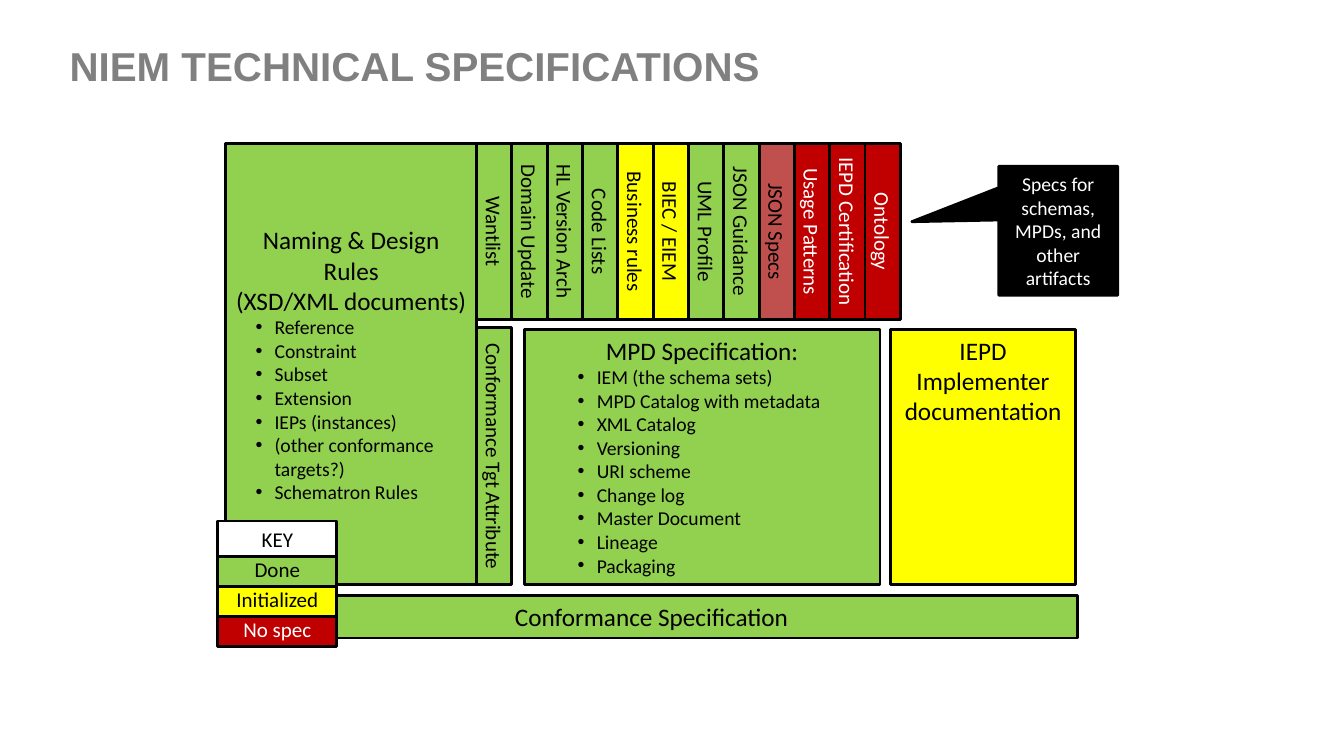
from copy import deepcopy

from lxml import etree
from pptx import Presentation
from pptx import util as u
from pptx.dml.color import RGBColor
from pptx.enum import shapes, text
from pptx.oxml.ns import qn

COLORS = {
    "done": "92D050", "initialized": "FFFF00", "no spec": "C00000",
    "partial": "C0504D", "white": "FFFFFF", "black": "000000", "title": "808080",
}
STRIP = 0.89  # thickness of a one-line box, cm

ARTIFACT_SPECS = [
    ("Wantlist", "done"), ("Domain Update", "done"), ("HL Version Arch", "done"),
    ("Code Lists", "done"), ("Business rules", "initialized"),
    ("BIEC / EIEM", "initialized"), ("UML Profile", "done"),
    ("JSON Guidance", "done"), ("JSON Specs", "partial"),
    ("Usage Patterns", "no spec"), ("IEPD Certification", "no spec"),
    ("Ontology", "no spec"),
]
KEY = [("KEY", "white"), ("Done", "done"), ("Initialized", "initialized"),
       ("No spec", "no spec")]
NDR_TARGETS = ["Reference", "Constraint", "Subset", "Extension", "IEPs (instances)",
               "(other conformance targets?)", "Schematron Rules"]
MPD_PARTS = ["IEM (the schema sets)", "MPD Catalog with metadata", "XML Catalog",
             "Versioning", "URI scheme", "Change log", "Master Document",
             "Lineage", "Packaging"]


def rgb(name):
    return RGBColor.from_string(COLORS[name])


def format_runs(paragraph, size, color, font="Calibri", bold=False):
    for run in paragraph.runs:
        run.font.size = u.Pt(size)
        run.font.name = font
        run.font.bold = bold
        run.font.color.rgb = rgb(color)
    # Line breaks take the height of the text around them
    for line_break in paragraph._p.findall(qn("a:br")):
        line_break.append(deepcopy(paragraph.runs[0].font._element))


def add_bullet(paragraph, indent):
    properties = paragraph._p.get_or_add_pPr()
    properties.set("marL", str(u.Cm(indent)))
    properties.set("indent", str(u.Cm(-0.48)))
    etree.SubElement(properties, qn("a:buFont")).set("typeface", "Arial")
    etree.SubElement(properties, qn("a:buChar")).set("char", "•")


def add_block(slide, box, color, headings, size=18, ink="black", bullets=(), indent=1,
              anchor=text.MSO_ANCHOR.MIDDLE, kind=shapes.MSO_SHAPE.RECTANGLE):
    """Outlined block with centred headings and an optional bullet list."""
    block = slide.shapes.add_shape(kind, *(u.Cm(length) for length in box))
    block.shadow.inherit = False
    block.fill.solid()
    block.fill.fore_color.rgb = rgb(color)
    block.line.color.rgb = rgb("black")
    block.line.width = u.Pt(2)
    frame = block.text_frame
    frame.word_wrap = True
    frame.vertical_anchor = anchor
    frame.margin_left = frame.margin_right = u.Cm(0.23)
    frame.margin_top = frame.margin_bottom = u.Cm(0.13)
    for index, words in enumerate([*headings, *bullets]):
        paragraph = frame.paragraphs[0] if index == 0 else frame.add_paragraph()
        paragraph.text = words
        is_heading = index < len(headings)
        paragraph.alignment = text.PP_ALIGN.CENTER if is_heading else text.PP_ALIGN.LEFT
        if not is_heading:
            add_bullet(paragraph, indent)
        format_runs(paragraph, size if is_heading else 14, ink)
    return block


def add_strip(slide, box, label, status):
    ink = "white" if status == "no spec" else "black"
    return add_block(slide, box, status, [label], size=15, ink=ink)


def add_upright_strip(slide, box, label, status):
    """Strip turned by 90 degrees so that it fills the tall box."""
    left, top, width, height = box
    flat = (left + (width - height) / 2, top + (height - width) / 2, height, width)
    add_strip(slide, flat, label, status).rotation = 90


def add_title(slide, box, words):
    title = slide.shapes.title
    title.left, title.top, title.width, title.height = (u.Cm(length) for length in box)
    frame = title.text_frame
    frame.text = words
    frame.auto_size = text.MSO_AUTO_SIZE.NONE
    frame.vertical_anchor = text.MSO_ANCHOR.MIDDLE
    frame.paragraphs[0].alignment = text.PP_ALIGN.LEFT
    format_runs(frame.paragraphs[0], 28.8, "title", font="Arial", bold=True)


def add_artifact_specs(slide, box):
    left, top, width, height = box
    pitch = width / len(ARTIFACT_SPECS)
    for column, (label, status) in enumerate(ARTIFACT_SPECS):
        add_upright_strip(slide, (left + column * pitch, top, STRIP, height),
                          label, status)


def add_key(slide, box):
    left, top, width, height = box
    pitch = (height - STRIP) / (len(KEY) - 1)
    # Lowest first, so each entry overlaps the one below it
    for row, (label, status) in reversed(list(enumerate(KEY))):
        add_strip(slide, (left, top + row * pitch, width, STRIP), label, status)


def add_callout(slide, box):
    callout = add_block(slide, box, "black",
                        ["Specs for schemas, MPDs, and other\vartifacts"], size=14,
                        ink="white", kind=shapes.MSO_SHAPE.RECTANGULAR_CALLOUT)
    callout.adjustments[0] = -1.23
    callout.adjustments[1] = -0.07


def add_diagram(slide, box):
    left, top, width, height = box
    lower = top + 4.7
    lower_height = 6.43
    strips_left = left + 6.32

    # Naming and design rules, with the specs beside them
    add_block(slide, (left, top, 6.32, 11.13), "done",
              ["Naming & Design Rules", "(XSD/XML documents)"], bullets=NDR_TARGETS)
    add_artifact_specs(slide, (strips_left, top, 12 * STRIP, 4.45))
    add_upright_strip(slide, (strips_left, lower - 0.05, STRIP, 6.48),
                      "Conformance Tgt Attribute", "done")

    # MPD and IEPD documentation
    add_block(slide, (left + 7.52, lower, 8.97, lower_height), "done",
              ["MPD Specification:"], bullets=MPD_PARTS, indent=1.6,
              anchor=text.MSO_ANCHOR.TOP)
    add_block(slide, (left + 16.76, lower, 4.65, lower_height), "initialized",
              ["IEPD\vImplementer\vdocumentation"], anchor=text.MSO_ANCHOR.TOP)

    # Conformance bar, key and callout
    add_block(slide, (left, top + height - 1.07, width, 1.07), "done",
              ["Conformance Specification"])
    add_key(slide, (left - 0.2, top + 9.52, 3, 3.17))
    add_callout(slide, (left + 19.48, top + 0.58, 3, 3.25))


def main():
    deck = Presentation()
    deck.slide_width, deck.slide_height = u.Cm(33.87), u.Cm(19.05)
    slide = deck.slides.add_slide(deck.slide_layouts.get_by_name("Title Only"))
    add_title(slide, (1.5, 1.14, 26.92, 1.02), "NIEM TECHNICAL SPECIFICATIONS")
    add_diagram(slide, (5.69, 3.61, 21.46, 12.47))
    deck.save("out.pptx")


if __name__ == "__main__":
    main()
